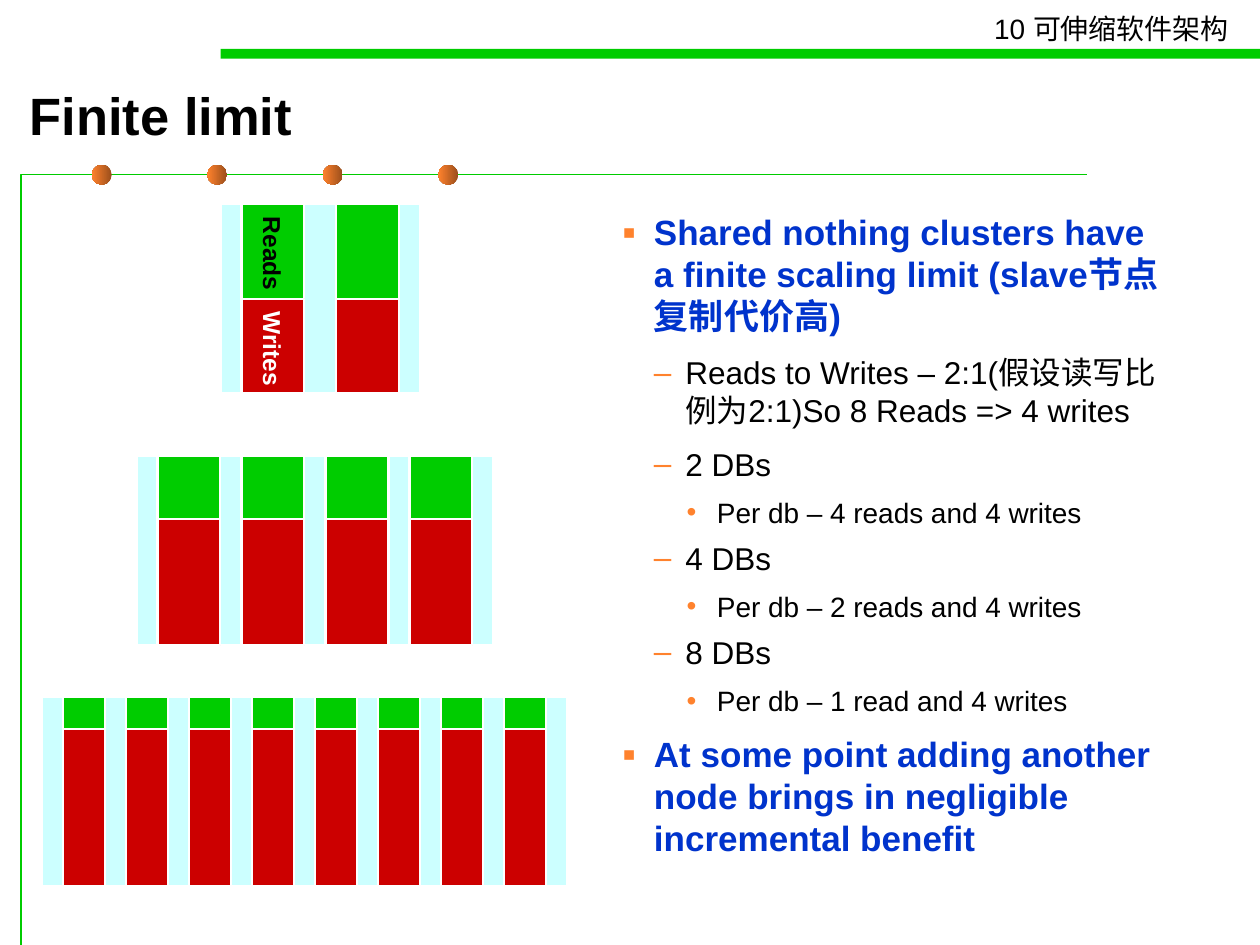
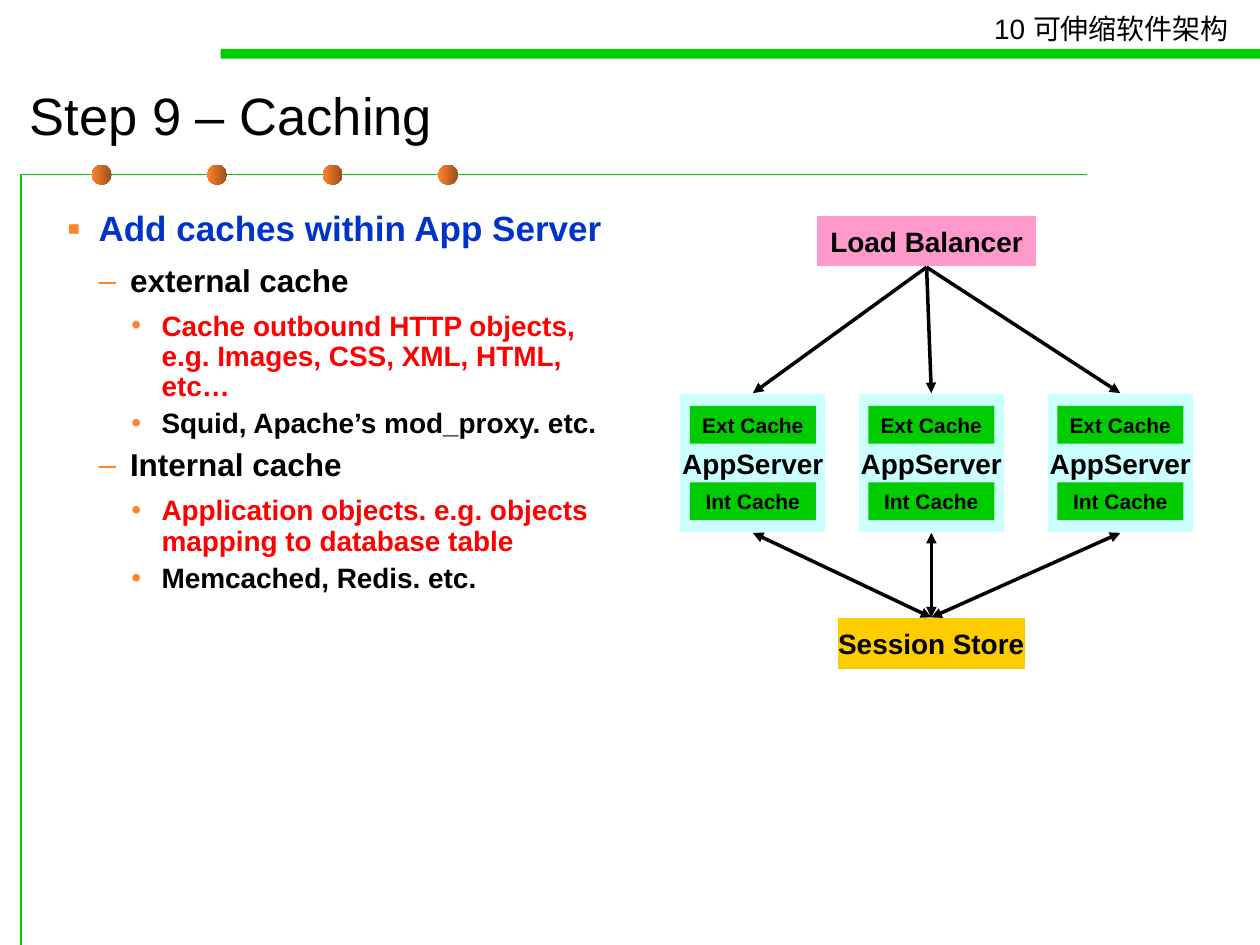
from dataclasses import dataclass

from lxml.etree import SubElement
from pptx import Presentation
from pptx.dml.color import RGBColor
from pptx.enum.shapes import MSO_CONNECTOR, MSO_SHAPE
from pptx.enum.text import MSO_ANCHOR, PP_ALIGN
from pptx.oxml.ns import qn
from pptx.util import Inches, Pt


@dataclass(frozen=True)
class Theme:
    font: str = "Arial"
    black: RGBColor = RGBColor(0x00, 0x00, 0x00)
    white: RGBColor = RGBColor(0xFF, 0xFF, 0xFF)
    green: RGBColor = RGBColor(0x00, 0xCC, 0x00)
    dark_red: RGBColor = RGBColor(0xCC, 0x00, 0x00)
    red: RGBColor = RGBColor(0xFF, 0x00, 0x00)
    blue: RGBColor = RGBColor(0x00, 0x33, 0xCC)
    cyan: RGBColor = RGBColor(0xCC, 0xFF, 0xFF)
    pink: RGBColor = RGBColor(0xFF, 0x99, 0xCC)
    yellow: RGBColor = RGBColor(0xFF, 0xCC, 0x00)
    orange: RGBColor = RGBColor(0xFF, 0x82, 0x2D)
    brown: RGBColor = RGBColor(0x9A, 0x4E, 0x1B)
    title_size: int = 30
    header_size: int = 16
    node_size: int = 16
    bar_size: int = 14
    cache_size: int = 12
    outline_sizes: tuple = (20, 18, 16)


THEME = Theme()
COLUMNS, ROWS = 120, 90  # square cells, twelve to the inch
BULLETS = ("▪", "–", "•")
HANGING = (0.25, 0.25, 0.24)
SPACE_BEFORE = (8.8, 5.6, 4)
SPACE_AFTER = (3.7, 3.4, 0)


def cells(*counts):
    """Turn counts of grid cells into slide lengths."""
    return [round(Inches(10) * count / COLUMNS) for count in counts]


def add_box(slide, frame, fill, text="", size=THEME.node_size,
            color=THEME.black, outlined=True):
    """Add a filled rectangle with an optional centred bold label."""
    box = slide.shapes.add_shape(MSO_SHAPE.RECTANGLE, *cells(*frame))
    box.shadow.inherit = False
    box.fill.solid()
    box.fill.fore_color.rgb = fill
    if outlined:
        box.line.color.rgb = THEME.white
        box.line.width = Pt(1.25)
    else:
        box.line.fill.background()
    if text:
        box.text_frame.text = text
        box.text_frame.word_wrap = False
        box.text_frame.vertical_anchor = MSO_ANCHOR.MIDDLE
        label = box.text_frame.paragraphs[0]
        label.alignment = PP_ALIGN.CENTER
        label.font.name = THEME.font
        label.font.size = Pt(size)
        label.font.bold = True
        label.font.color.rgb = color
    return box


presentation = Presentation()
presentation.slide_width, presentation.slide_height = cells(COLUMNS, ROWS)

limit_points = [
    (0, "Shared nothing clusters have a finite scaling limit (slave节点复制代价高)", THEME.blue),
    (1, "Reads to Writes – 2:1(假设读写比例为2:1)So 8 Reads => 4 writes", THEME.black),
    (1, "2 DBs", THEME.black),
    (2, "Per db – 4 reads and 4 writes", THEME.black),
    (1, "4 DBs", THEME.black),
    (2, "Per db – 2 reads and 4 writes", THEME.black),
    (1, "8 DBs", THEME.black),
    (2, "Per db – 1 read and 4 writes", THEME.black),
    (0, "At some point adding another node brings in negligible incremental benefit", THEME.blue),
]
caching_points = [
    (0, "Add caches within App Server", THEME.blue),
    (1, "external cache", THEME.black),
    (2, "Cache outbound HTTP objects, e.g. Images, CSS, XML, HTML, etc…", THEME.red),
    (2, "Squid, Apache’s mod_proxy. etc.", THEME.black),
    (1, "Internal cache", THEME.black),
    (2, "Application objects. e.g. objects mapping to database table", THEME.red),
    (2, "Memcached, Redis. etc.", THEME.black),
]
# title, bold title, outline frame, line spacing, bold from the top to this level, outline
pages = [
    ("Finite limit", True, (58.1, 19.5, 54.8, 67), 1.0, 0, limit_points),
    ("Step 9 – Caching", False, (5.2, 19.5, 55.8, 67), 0.9, 2, caching_points),
]

# Shared frame, title and outline of every slide
for title, title_bold, outline_frame, line_spacing, bold_to, points in pages:
    slide = presentation.slides.add_slide(presentation.slide_layouts[6])

    corner = slide.shapes.build_freeform(*cells(2, ROWS), scale=1.0)
    corner.add_line_segments([cells(2, 16.65), cells(103.5, 16.65)], close=False)
    rule = corner.convert_to_shape()
    rule.shadow.inherit = False
    rule.fill.background()
    rule.line.color.rgb = THEME.green
    rule.line.width = Pt(0.75)

    for bead_index in range(4):
        bead = slide.shapes.add_shape(
            MSO_SHAPE.OVAL, *cells(8.75 + 11 * bead_index, 15.7, 1.9, 1.9))
        bead.shadow.inherit = False
        bead.line.fill.background()
        bead.fill.gradient()
        bead.fill.gradient_angle = 180
        for stop, color in zip(bead.fill.gradient_stops, (THEME.brown, THEME.orange)):
            stop.color.rgb = color

    add_box(slide, (21, 4.65, 99, 0.95), THEME.green, outlined=False)

    for frame, text, size, bold, anchor in [
        ((93.5, 0.5, 26.5, 4.4), "10 可伸缩软件架构", THEME.header_size, False,
         MSO_ANCHOR.TOP),
        ((1.65, 6.7, 111.5, 8.5), title, THEME.title_size, title_bold,
         MSO_ANCHOR.MIDDLE),
    ]:
        heading = slide.shapes.add_textbox(*cells(*frame)).text_frame
        heading.text = text
        heading.word_wrap = True
        heading.vertical_anchor = anchor
        font = heading.paragraphs[0].runs[0].font
        font.name = THEME.font
        font.size = Pt(size)
        font.bold = bold
        font.color.rgb = THEME.black

    outline = slide.shapes.add_textbox(*cells(*outline_frame)).text_frame
    outline.word_wrap = True
    outline.text = "\n".join(text for _, text, _ in points)
    for index, (level, _, color) in enumerate(points):
        point = outline.paragraphs[index]
        point.level = level
        properties = point._p.get_or_add_pPr()
        properties.set("marL", str(Inches(0.25 * (level + 1))))
        properties.set("indent", str(-Inches(HANGING[level])))
        bullet_color = SubElement(properties, qn("a:buClr"))
        SubElement(bullet_color, qn("a:srgbClr"), val=str(THEME.orange))
        if level == 0:
            SubElement(properties, qn("a:buSzPct"), val="110000")
        SubElement(properties, qn("a:buFont"), typeface=THEME.font)
        SubElement(properties, qn("a:buChar"), char=BULLETS[level])
        point.line_spacing = line_spacing
        point.space_before = Pt(SPACE_BEFORE[level] if index else 0)
        point.space_after = Pt(SPACE_AFTER[level])
        font = point.runs[0].font
        font.name = THEME.font
        font.size = Pt(THEME.outline_sizes[level])
        font.bold = level <= bold_to
        font.color.rgb = color

limit_slide, caching_slide = presentation.slides

# Clusters of databases: reads shrink while writes stay
cluster_height, margin = 18, 2
for left, top, databases, bar_width, gap, reads_height in [
    (21, 19.45, 2, 6, 3, 9),
    (13, 43.45, 4, 6, 2, 6),
    (4, 66.4, 8, 4, 2, 3),
]:
    cluster_width = 2 * margin + databases * bar_width + (databases - 1) * gap
    add_box(limit_slide, (left, top, cluster_width, cluster_height), THEME.cyan)
    for database in range(databases):
        bar_left = left + margin + database * (bar_width + gap)
        labelled = databases == 2 and database == 0
        for text, bar_top, height, fill, color in [
            ("Reads", top, reads_height, THEME.green, THEME.black),
            ("Writes", top + reads_height, cluster_height - reads_height,
             THEME.dark_red, THEME.white),
        ]:
            bar = add_box(limit_slide, (bar_left, bar_top, bar_width, height), fill,
                          text if labelled else "", THEME.bar_size, color)
            if labelled:
                bar.element.txBody.bodyPr.set("vert", "eaVert")
                bar.text_frame.margin_left = bar.text_frame.margin_right = Inches(0.05)
                bar.text_frame.margin_top = bar.text_frame.margin_bottom = Inches(0.1)

# Load balancer, application servers with their caches, session store
app_lefts = (64.7, 81.7, 99.7)
app_servers = [add_box(caching_slide, (left, 37.45, 14, 13.3), THEME.cyan, "AppServer")
               for left in app_lefts]
load_balancer = add_box(caching_slide, (77.75, 20.45, 21, 5), THEME.pink, "Load Balancer")
session_store = add_box(caching_slide, (79.7, 58.8, 18, 5), THEME.yellow, "Session Store")

links = [(load_balancer, app, ("tailEnd",)) for app in app_servers]
links += [(app, session_store, ("headEnd", "tailEnd")) for app in app_servers]
for upper, lower, arrow_ends in links:
    link = caching_slide.shapes.add_connector(MSO_CONNECTOR.STRAIGHT, 0, 0, 0, 0)
    link.begin_connect(upper, 2)
    link.end_connect(lower, 0)
    link.line.color.rgb = THEME.black
    link.line.width = Pt(2)
    for arrow_end in arrow_ends:
        SubElement(link.line._get_or_add_ln(), qn(f"a:{arrow_end}"), type="triangle")
    SubElement(link.element.spPr, qn("a:effectLst"))

for left in app_lefts:
    for cache, top in [("Ext Cache", 38.65), ("Int Cache", 45.95)]:
        add_box(caching_slide, (left + 1, top, 12, 3.6), THEME.green, cache,
                THEME.cache_size, outlined=False)

presentation.save("out.pptx")
